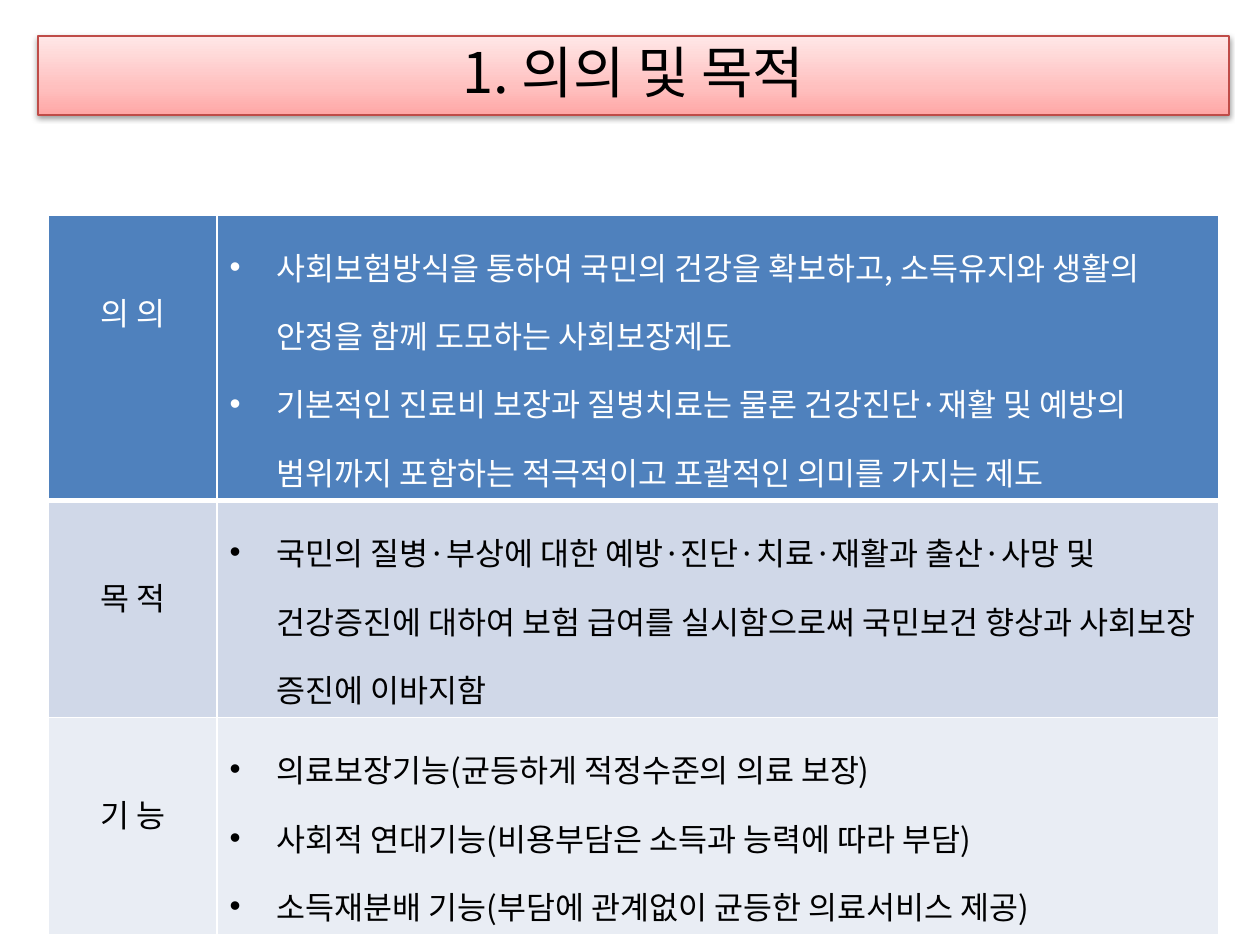
from dataclasses import dataclass

from lxml import etree
from pptx import Presentation
from pptx.dml.color import RGBColor
from pptx.enum.shapes import MSO_SHAPE
from pptx.enum.text import MSO_ANCHOR, PP_ALIGN
from pptx.oxml import parse_xml
from pptx.oxml.ns import nsdecls, qn
from pptx.util import Emu, Pt

RECTANGLE = MSO_SHAPE.RECTANGLE
MIDDLE = MSO_ANCHOR.MIDDLE
CENTER = PP_ALIGN.CENTER
LEFT = PP_ALIGN.LEFT

PX_PER_INCH = 126
FONT = "Noto Sans CJK KR"
WHITE = "FFFFFF"
BLACK = "000000"
BODY_SIZE = 18
BODY_SPACING = 1.5
BULLET_INDENT = 47
CELL_MARGIN = 6
LABEL_TOP = 51
COLUMN_WIDTHS = (169, 1002)
TITLE_STOPS = ((0, "FFA6A5"), (35, "FFC0BF"), (100, "FFE7E7"))


@dataclass
class Box:
    left: int
    top: int
    width: int
    height: int


@dataclass
class Row:
    label: str
    points: list[str]
    fill: str
    color: str
    height: int
    top_border: int = 1
    bottom_border: int = 1


TITLE_BOX = Box(38, 36, 1191, 79)
TABLE_BOX = Box(48, 215, 1171, 655)
ROWS = [
    Row(
        "의 의",
        [
            "사회보험방식을 통하여 국민의 건강을 확보하고, 소득유지와 생활의 안정을 함께 도모하는 사회보장제도",
            "기본적인 진료비 보장과 질병치료는 물론 건강진단·재활 및 예방의 범위까지 포함하는 적극적이고 포괄적인 의미를 가지는 제도",
        ],
        "4F81BD", WHITE, 261, bottom_border=3,
    ),
    Row(
        "목 적",
        ["국민의 질병·부상에 대한 예방·진단·치료·재활과 출산·사망 및 건강증진에 대하여 보험 급여를 실시함으로써 국민보건 향상과 사회보장 증진에 이바지함"],
        "D0D8E8", BLACK, 197, top_border=3,
    ),
    Row(
        "기 능",
        [
            "의료보장기능(균등하게 적정수준의 의료 보장)",
            "사회적 연대기능(비용부담은 소득과 능력에 따라 부담)",
            "소득재분배 기능(부담에 관계없이 균등한 의료서비스 제공)",
        ],
        "E9EDF4", BLACK, 197,
    ),
]


def px(length: int) -> Emu:
    return Emu(round(length * 914400 / PX_PER_INCH))


def rgb(value: str) -> RGBColor:
    return RGBColor.from_string(value)


def place(box: Box) -> list[Emu]:
    return [px(value) for value in (box.left, box.top, box.width, box.height)]


def apply(target, values: dict) -> None:
    for name, value in values.items():
        setattr(target, name, value)


def write_span(para, text: str, size: int, color: str) -> None:
    span = para.add_run()
    span.text = text
    apply(span.font, {"size": Pt(size), "name": FONT, "bold": False})
    span.font.color.rgb = rgb(color)
    east_asian = etree.SubElement(span.font._element, qn("a:ea"))
    east_asian.set("typeface", FONT)


def add_bullet(para) -> None:
    properties = para._p.get_or_add_pPr()
    properties.set("marL", str(px(BULLET_INDENT)))
    properties.set("indent", str(-px(BULLET_INDENT)))
    etree.SubElement(properties, qn("a:buFont")).set("typeface", "Arial")
    etree.SubElement(properties, qn("a:buChar")).set("char", "•")


def write_cell(cell, texts: list[str], row: Row, bulleted: bool) -> None:
    frame = cell.text_frame
    for index, text in enumerate(texts):
        para = frame.add_paragraph() if index else frame.paragraphs[0]
        if bulleted:
            add_bullet(para)
        apply(para, {
            "alignment": LEFT if bulleted else CENTER,
            "line_spacing": BODY_SPACING,
        })
        write_span(para, text, BODY_SIZE, row.color)


def style_cell(cell, row: Row, margin_top: int) -> None:
    apply(cell, {"margin_top": px(margin_top), "margin_bottom": px(CELL_MARGIN)})
    cell.fill.solid()
    cell.fill.fore_color.rgb = rgb(row.fill)
    borders = {"lnL": 1, "lnR": 1, "lnT": row.top_border, "lnB": row.bottom_border}
    properties = cell._tc.get_or_add_tcPr()
    for index, (side, width) in enumerate(borders.items()):
        properties.insert(index, parse_xml(
            f'<a:{side} {nsdecls("a")} w="{Pt(width)}"><a:solidFill>'
            f'<a:srgbClr val="{WHITE}"/></a:solidFill></a:{side}>'
        ))


def draw_title(page, text: str) -> None:
    banner = page.shapes.add_shape(RECTANGLE, *place(TITLE_BOX))
    banner.line.color.rgb = rgb("BF4C48")
    banner.line.width = Pt(0.75)
    stops = "".join(
        f'<a:gs pos="{position * 1000}"><a:srgbClr val="{color}"/></a:gs>'
        for position, color in TITLE_STOPS
    )
    properties = banner._element.spPr
    properties.find(qn("a:prstGeom")).addnext(parse_xml(
        f'<a:gradFill {nsdecls("a")} rotWithShape="1"><a:gsLst>{stops}</a:gsLst>'
        '<a:lin ang="16200000" scaled="0"/></a:gradFill>'
    ))
    properties.append(parse_xml(
        f'<a:effectLst {nsdecls("a")}><a:outerShdw blurRad="{Pt(3.1)}" '
        f'dist="{Pt(1.6)}" dir="5400000" rotWithShape="0"><a:srgbClr val="{BLACK}">'
        '<a:alpha val="38000"/></a:srgbClr></a:outerShdw></a:effectLst>'
    ))
    frame = banner.text_frame
    apply(frame, {"vertical_anchor": MIDDLE, "word_wrap": True})
    para = frame.paragraphs[0]
    apply(para, {"alignment": CENTER, "line_spacing": 0.9})
    write_span(para, text, 32, BLACK)


def draw_table(page, rows: list[Row]) -> None:
    table = page.shapes.add_table(len(rows), len(COLUMN_WIDTHS), *place(TABLE_BOX)).table
    apply(table, {"first_row": False, "horz_banding": False})
    for column, width in zip(table.columns, COLUMN_WIDTHS):
        column.width = px(width)
    for table_row, row in zip(table.rows, rows):
        table_row.height = px(row.height)
        label_cell, points_cell = table_row.cells
        style_cell(label_cell, row, LABEL_TOP)
        write_cell(label_cell, [row.label], row, bulleted=False)
        style_cell(points_cell, row, CELL_MARGIN)
        write_cell(points_cell, row.points, row, bulleted=True)


def main() -> None:
    deck = Presentation()
    apply(deck, {"slide_width": px(1260), "slide_height": px(945)})
    page = deck.slides.add_slide(deck.slide_layouts[6])
    draw_title(page, "1. 의의 및 목적")
    draw_table(page, ROWS)
    deck.save("out.pptx")


if __name__ == "__main__":
    main()
